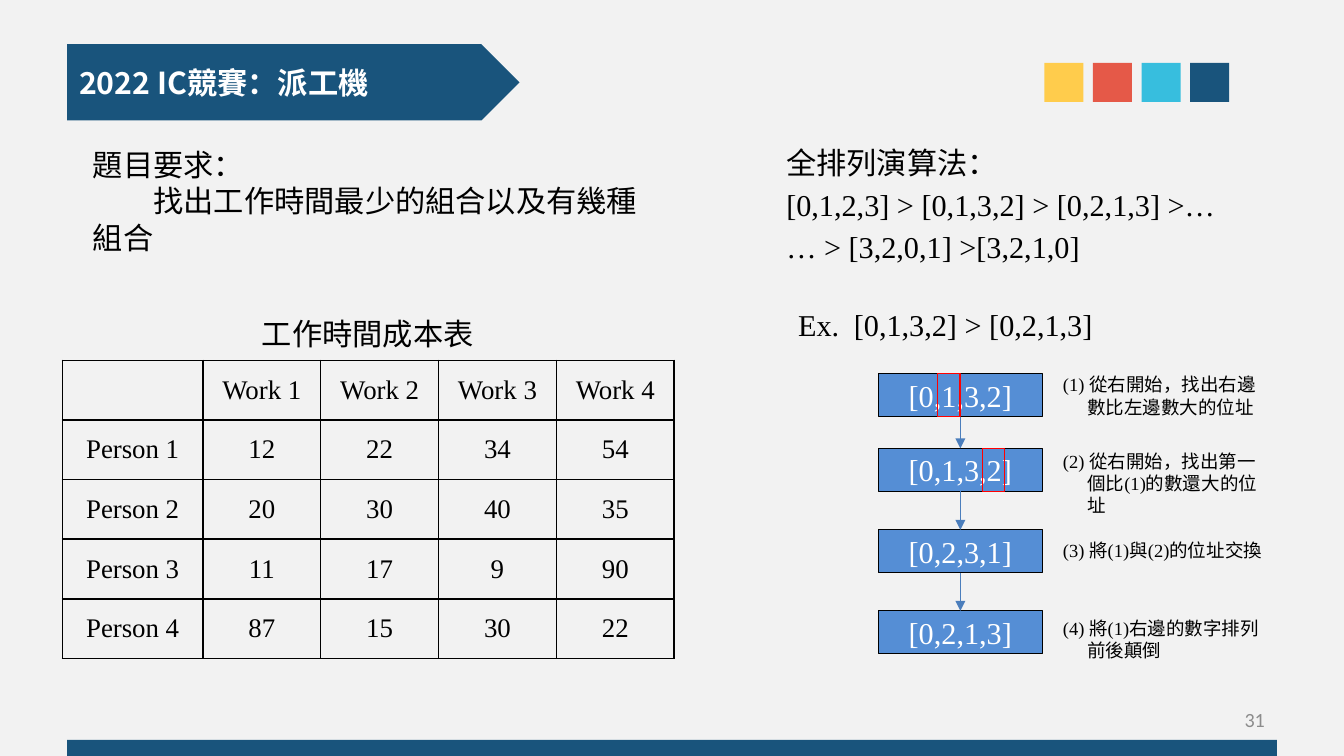
from dataclasses import dataclass

from lxml import etree
from pptx import Presentation
from pptx.dml.color import RGBColor
from pptx.enum.shapes import MSO_CONNECTOR, MSO_SHAPE
from pptx.enum.text import MSO_ANCHOR, PP_ALIGN
from pptx.oxml.ns import qn
from pptx.util import Cm, Pt

RECT, PENTAGON = MSO_SHAPE.RECTANGLE, MSO_SHAPE.PENTAGON
STRAIGHT = MSO_CONNECTOR.STRAIGHT
LEFT, CENTER, RIGHT = PP_ALIGN.LEFT, PP_ALIGN.CENTER, PP_ALIGN.RIGHT
TOP, MIDDLE = MSO_ANCHOR.TOP, MSO_ANCHOR.MIDDLE


@dataclass(frozen=True)
class Theme:
    background: str = "F2F2F2"
    navy: str = "19547C"
    yellow: str = "FFCC4C"
    coral: str = "E55948"
    cyan: str = "37BEDE"
    step: str = "558ED5"
    arrow: str = "4B7EBC"
    mark: str = "FF0000"
    black: str = "000000"
    white: str = "FFFFFF"
    gray: str = "8C8C8C"
    body: int = 18
    table: int = 16
    page: int = 12
    note: int = 11
    serif: str = "Times New Roman"
    cjk: str = "Noto Sans CJK SC"
    sans: str = "Calibri"


T = Theme()


def rgb(color):
    return RGBColor.from_string(color)


def style(p, size=T.body, color=T.black, font=T.serif, align=LEFT, bold=False):
    p.alignment = align
    p.font.size = Pt(size)
    p.font.name = font
    p.font.bold = bold
    p.font.color.rgb = rgb(color)
    props = p._p.pPr.find(qn("a:defRPr"))
    etree.SubElement(props, qn("a:ea"), typeface=T.cjk)


def indent(p, left, first):
    p._p.pPr.set("marL", str(Cm(left)))
    p._p.pPr.set("indent", str(Cm(first)))


def write(s, lines, anchor=TOP, **look):
    tf = s.text_frame
    tf.word_wrap = True
    tf.vertical_anchor = anchor
    tf.text = "\n".join(lines)
    for p in tf.paragraphs:
        style(p, **look)
    return tf.paragraphs


def add_text(slide, x, y, w, h, *lines, **look):
    return write(slide.shapes.add_textbox(Cm(x), Cm(y), Cm(w), Cm(h)), lines, **look)


def add_box(slide, x, y, w, h, fill=None, line=None, kind=RECT):
    s = slide.shapes.add_shape(kind, Cm(x), Cm(y), Cm(w), Cm(h))
    s.shadow.inherit = False
    if fill:
        s.fill.solid()
        s.fill.fore_color.rgb = rgb(fill)
    else:
        s.fill.background()
    if line:
        s.line.color.rgb = rgb(line)
        s.line.width = Pt(0.75)
    else:
        s.line.fill.background()
    return s


def add_arrow(slide, x, top, bottom):
    s = slide.shapes.add_connector(STRAIGHT, Cm(x), Cm(top), Cm(x), Cm(bottom))
    s.line.color.rgb = rgb(T.arrow)
    s.line.width = Pt(0.75)
    etree.SubElement(s.line._get_or_add_ln(), qn("a:tailEnd"), type="triangle")
    etree.SubElement(s._element.spPr, qn("a:effectLst"))


def add_borders(cell):
    tc_pr = cell._tc.get_or_add_tcPr()
    for i, side in enumerate(("lnL", "lnR", "lnT", "lnB")):
        ln = etree.Element(qn(f"a:{side}"), w=str(Pt(1)))
        fill = etree.SubElement(ln, qn("a:solidFill"))
        etree.SubElement(fill, qn("a:srgbClr"), val=T.black)
        tc_pr.insert(i, ln)


def header(slide, x, y, w, h):
    s = add_box(slide, x, y, 9.5, h, T.navy, kind=PENTAGON)
    write(s, ["2022 IC競賽：派工機"], anchor=MIDDLE, color=T.white, font=T.cjk, bold=True)
    side, pitch = 0.82, 1.02
    colors = (T.yellow, T.coral, T.cyan, T.navy)
    start = x + w - side - pitch * (len(colors) - 1)
    for i, color in enumerate(colors):
        add_box(slide, start + i * pitch, y + (h - side) / 2, side, side, color)


def task(slide, x, y, w, h):
    ps = add_text(slide, x, y, w, h, "題目要求：",
                  "找出工作時間最少的組合以及有幾種組合", font=T.cjk)
    indent(ps[1], 0, 1.27)


def cost_table(slide, x, y, w, h):
    rows = (
        ("", "Work 1", "Work 2", "Work 3", "Work 4"),
        ("Person 1", "12", "22", "34", "54"),
        ("Person 2", "20", "30", "40", "35"),
        ("Person 3", "11", "17", "9", "90"),
        ("Person 4", "87", "15", "30", "22"),
    )
    caption_h, name_w = 1.07, 2.95
    add_text(slide, x + 3.94, y, 5.33, 1.02, "工作時間成本表", font=T.cjk)
    n_rows, n_cols = len(rows), len(rows[0])
    table = slide.shapes.add_table(n_rows, n_cols, Cm(x), Cm(y + caption_h),
                                   Cm(w), Cm(h - caption_h)).table
    table.first_row = table.horz_banding = False
    for i, col in enumerate(table.columns):
        col.width = Cm((w - name_w) / (n_cols - 1) if i else name_w)
    for r, values in enumerate(rows):
        for c, value in enumerate(values):
            cell = table.cell(r, c)
            cell.text = value
            cell.vertical_anchor = MIDDLE
            cell.fill.background()
            add_borders(cell)
            style(cell.text_frame.paragraphs[0], size=T.table, align=CENTER)


def algorithm(slide, x, y, w, h):
    ps = add_text(slide, x, y, w, h, "全排列演算法：",
                  "[0,1,2,3] > [0,1,3,2] > [0,2,1,3] >…", "… > [3,2,0,1] >[3,2,1,0]")
    for p in ps[1:]:
        p.line_spacing = Pt(25)


def example(slide, x, y, w):
    ps = add_text(slide, x, y, 7, 1.02, "Ex.\t[0,1,3,2] > [0,2,1,3]")
    indent(ps[0], 1.17, -1.17)
    steps = (
        (1.55, "[0,1,3,2]", 1.25, -0.13, "(1) 從右開始，找出右邊數比左邊數大的位址"),
        (3.12, "[0,1,3,2]", 2.19, -0.1, "(2) 從右開始，找出第一個比(1)的數還大的位址"),
        (4.83, "[0,2,3,1]", None, 0.07, "(3) 將(1)與(2)的位址交換"),
        (6.53, "[0,2,1,3]", None, 0, "(4) 將(1)右邊的數字排列前後顛倒"),
    )
    step_x, step_w, step_h, note_w = x + 1.93, 3.45, 0.9, 4.75
    bottom = None
    for dy, order, mark, shift, note in steps:
        top = y + dy
        s = add_box(slide, step_x, top, step_w, step_h, T.step, T.black)
        write(s, [order], anchor=MIDDLE, color=T.white, align=CENTER)
        if mark:
            add_box(slide, step_x + mark, top, 0.47, step_h, line=T.mark)
        if bottom:
            add_arrow(slide, step_x + step_w / 2, bottom, top)
        bottom = top + step_h
        ps = add_text(slide, x + w - note_w, top + shift, note_w, 1.2, note, size=T.note)
        indent(ps[0], 0.51, -0.51)


def footer(slide, x, y, w, h):
    add_box(slide, x, y, w, h, T.navy)
    add_text(slide, x + w - 6.6, y - 0.84, 6.6, 0.84, "31", anchor=MIDDLE,
             size=T.page, color=T.gray, font=T.sans, align=RIGHT)


def main():
    prs = Presentation()
    prs.slide_width, prs.slide_height = Cm(28.22), Cm(15.88)
    slide = prs.slides.add_slide(prs.slide_layouts[6])
    slide.background.fill.solid()
    slide.background.fill.fore_color.rgb = rgb(T.background)
    header(slide, 1.41, 0.93, 24.4, 1.6)
    task(slide, 1.7, 2.95, 12.4, 2.57)
    cost_table(slide, 1.31, 6.5, 12.85, 7.33)
    algorithm(slide, 16.26, 2.9, 11.25, 2.82)
    example(slide, 16.51, 6.3, 10.31)
    footer(slide, 1.41, 15.54, 25.4, 0.34)
    prs.save("out.pptx")


if __name__ == "__main__":
    main()
